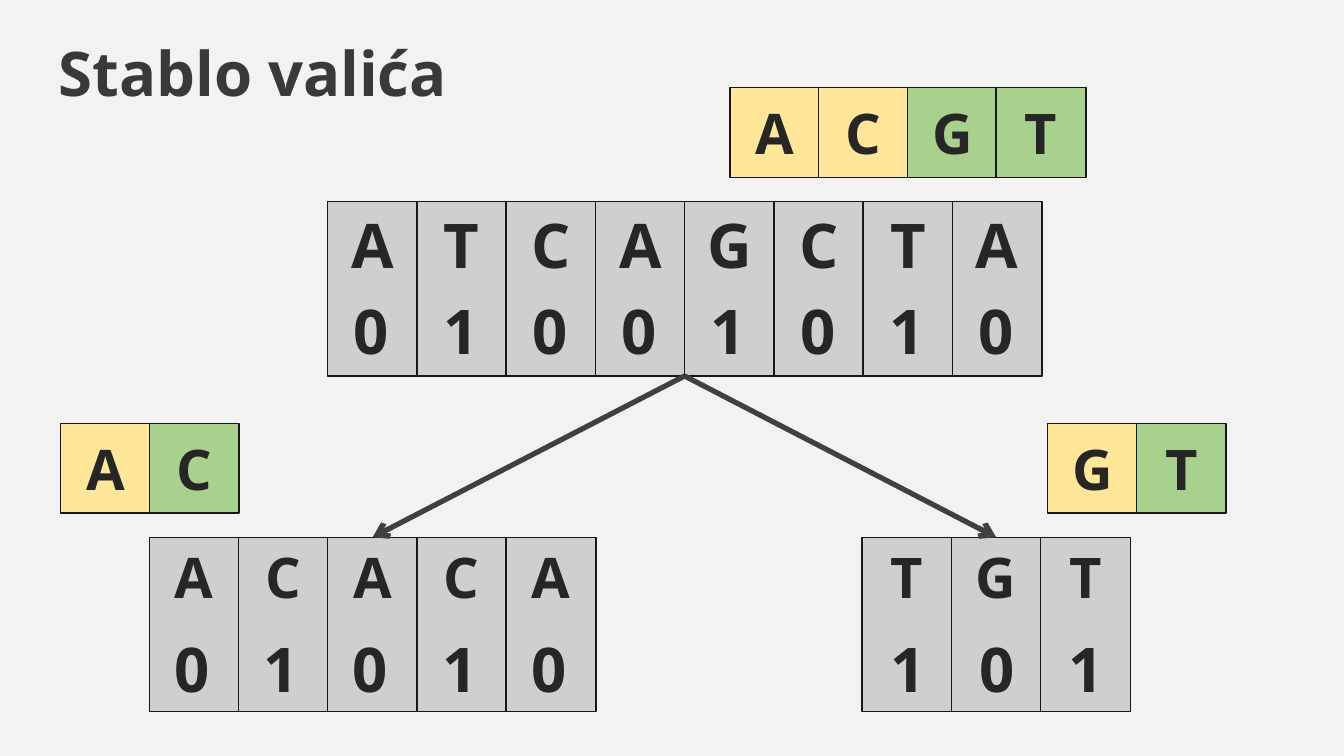
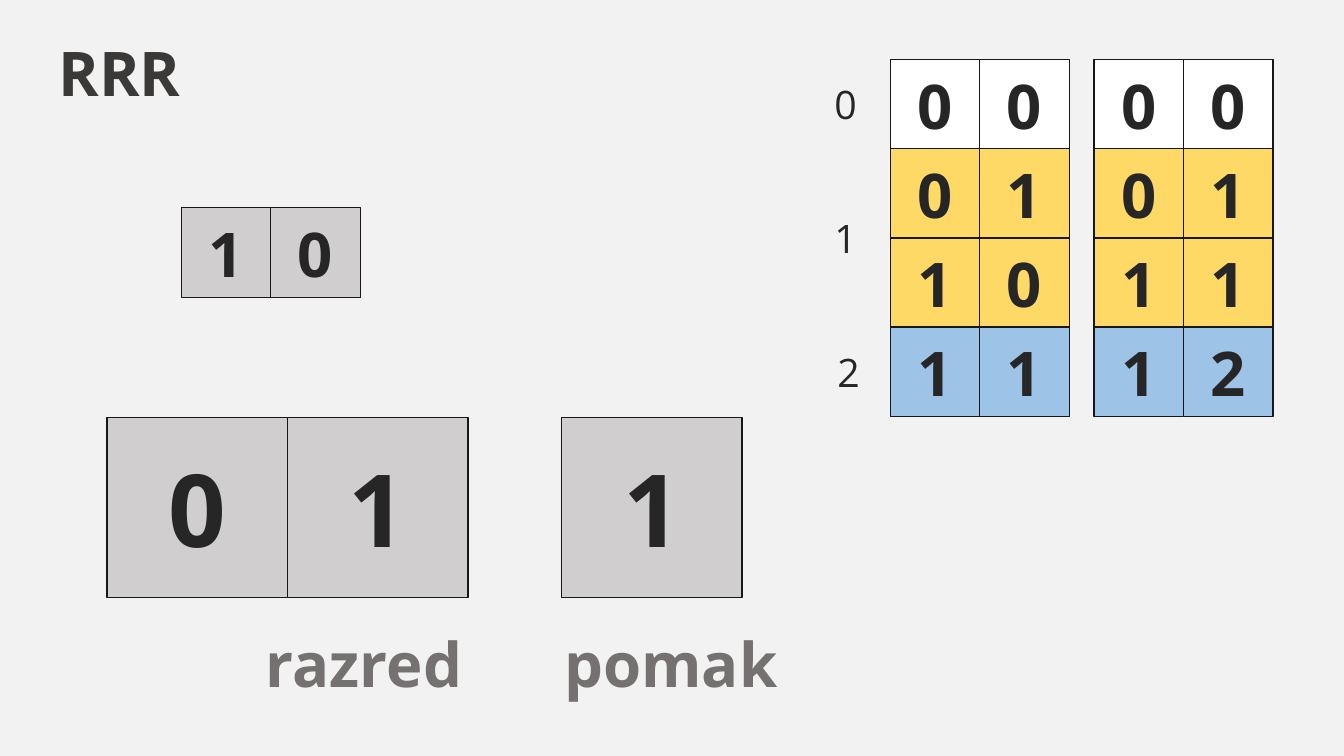
from lxml import etree
from pptx import Presentation
from pptx import util as u
from pptx.dml.color import RGBColor
from pptx.enum import shapes, text
from pptx.oxml import ns

FONT = "Open Sans"
BACKGROUND = RGBColor(0xF2, 0xF2, 0xF2)
TITLE = RGBColor(0x3B, 0x38, 0x38)
INK = RGBColor(0x26, 0x26, 0x26)
CAPTION = RGBColor(0x76, 0x71, 0x71)
BORDER = RGBColor(0x18, 0x17, 0x17)
ARROW = RGBColor(0x40, 0x40, 0x40)
GREY = RGBColor(0xD0, 0xCE, 0xCE)
WHITE = RGBColor(0xFF, 0xFF, 0xFF)
CREAM = RGBColor(0xFF, 0xE6, 0x99)
GREEN = RGBColor(0xA9, 0xD1, 0x8E)
YELLOW = RGBColor(0xFF, 0xD9, 0x66)
BLUE = RGBColor(0x9D, 0xC3, 0xE6)

CELL = 0.89
STEP = 0.885
TALL = 1.73
BIG = 1.79
MIDDLE = text.MSO_ANCHOR.MIDDLE
TOP = text.MSO_ANCHOR.TOP
CENTER = text.PP_ALIGN.CENTER
JUSTIFY = text.PP_ALIGN.JUSTIFY
LEFT = text.PP_ALIGN.LEFT


def write(sp, words, size, color=INK, bold=True, align=CENTER, anchor=MIDDLE):
    tf = sp.text_frame
    tf.word_wrap = True
    tf.vertical_anchor = anchor
    p = tf.paragraphs[0]
    p.alignment = align
    r = p.add_run()
    r.text = words
    r.font.name = FONT
    r.font.size = u.Pt(size)
    r.font.bold = bold
    r.font.color.rgb = color
    return p


def add_slide(prs, title):
    s = prs.slides.add_slide(prs.slide_layouts[5])
    sp = s.shapes.title
    sp.left, sp.top = u.Inches(0.48), u.Inches(0.03)
    sp.width, sp.height = u.Inches(11.02), u.Inches(1.45)
    write(sp, title, 44, TITLE, align=LEFT).line_spacing = 0.9
    return s


def add_label(s, words, x, y, w, h, size=44, **style):
    sp = s.shapes.add_textbox(u.Inches(x), u.Inches(y), u.Inches(w), u.Inches(h))
    write(sp, words, size, **style)


def add_cell(parent, words, x, y, w, h, fill, size, anchor=MIDDLE):
    sp = parent.shapes.add_shape(
        shapes.MSO_SHAPE.RECTANGLE,
        u.Inches(x), u.Inches(y), u.Inches(w), u.Inches(h))
    sp.shadow.inherit = False
    sp.fill.solid()
    sp.fill.fore_color.rgb = fill
    sp.line.color.rgb = BORDER
    sp.line.width = u.Pt(1)
    write(sp, words, size, anchor=anchor)
    return sp


def add_row(parent, words, x, y, fills, size=44, side=CELL, step=STEP):
    for i, (word, fill) in enumerate(zip(words, fills)):
        add_cell(parent, word, x + i * step, y, side, side, fill, size)


def add_alphabet(s, letters, x, y):
    group = s.shapes.add_group_shape()
    half = len(letters) // 2
    add_row(group, letters, x, y, [CREAM] * half + [GREEN] * half, 40, step=0.88)


def add_node(s, letters, bits, x, y, bits_x, bits_y, size):
    cells = [add_cell(s, letter, x + i * STEP, y, CELL, TALL, GREY, size, TOP)
             for i, letter in enumerate(letters)]
    for i, bit in enumerate(bits):
        add_label(s, bit, bits_x + i * STEP, bits_y, CELL, CELL)
    return cells


def add_arrow(s, x, y, target):
    c = s.shapes.add_connector(
        shapes.MSO_CONNECTOR.STRAIGHT, u.Inches(x), u.Inches(y),
        target.left + target.width // 2, target.top)
    c.end_connect(target, 0)
    c.line.color.rgb = ARROW
    c.line.width = u.Pt(3.75)
    etree.SubElement(c.line._get_or_add_ln(), ns.qn("a:tailEnd"), type="arrow")
    etree.SubElement(c._element.spPr, ns.qn("a:effectLst"))


def build_wavelet_tree(prs):
    s = add_slide(prs, "Stablo valića")
    add_node(s, "ATCAGCTA", "01001010", 3.25, 2, 3.24, 2.83, 44)
    left = add_node(s, "ACACA", "01010", 1.48, 5.33, 1.46, 6.18, 40)
    right = add_node(s, "TGT", "101", 8.55, 5.33, 8.56, 6.18, 40)
    for target in (left[2], right[1]):
        add_arrow(s, 6.79, 3.73, target)
    add_alphabet(s, "ACGT", 7.24, 0.87)
    add_alphabet(s, "AC", 0.6, 4.2)
    add_alphabet(s, "GT", 10.39, 4.2)


def build_rrr(prs):
    s = add_slide(prs, "RRR")
    add_row(s, "10", 1.8, 2.06, [GREY] * 2)
    row_fills = (WHITE, YELLOW, YELLOW, BLUE)
    for x, rows in ((8.83, ("00", "01", "10", "11")),
                    (10.85, ("00", "01", "11", "12"))):
        for i, (bits, fill) in enumerate(zip(rows, row_fills)):
            add_row(s, bits, x, 0.59 + i * STEP, [fill] * 2)
    for label, x, y in (("0", 7.94, 0.81), ("1", 7.94, 2.14), ("2", 7.97, 3.47)):
        add_label(s, label, x, y, CELL, 0.44, 28, bold=False)
    for bits, x in (("01", 1.06), ("1", 5.57)):
        add_row(s, bits, x, 4.14, [GREY] * len(bits), 72, BIG, BIG)
    for caption, x in (("razred", 2.54), ("pomak", 5.5)):
        add_label(s, caption, x, 6.08, 2.4, 1, color=CAPTION, align=JUSTIFY)


def main():
    prs = Presentation()
    prs.slide_width, prs.slide_height = u.Inches(13.33), u.Inches(7.5)
    fill = prs.slide_master.background.fill
    fill.solid()
    fill.fore_color.rgb = BACKGROUND
    build_wavelet_tree(prs)
    build_rrr(prs)
    prs.save("out.pptx")


if __name__ == "__main__":
    main()
